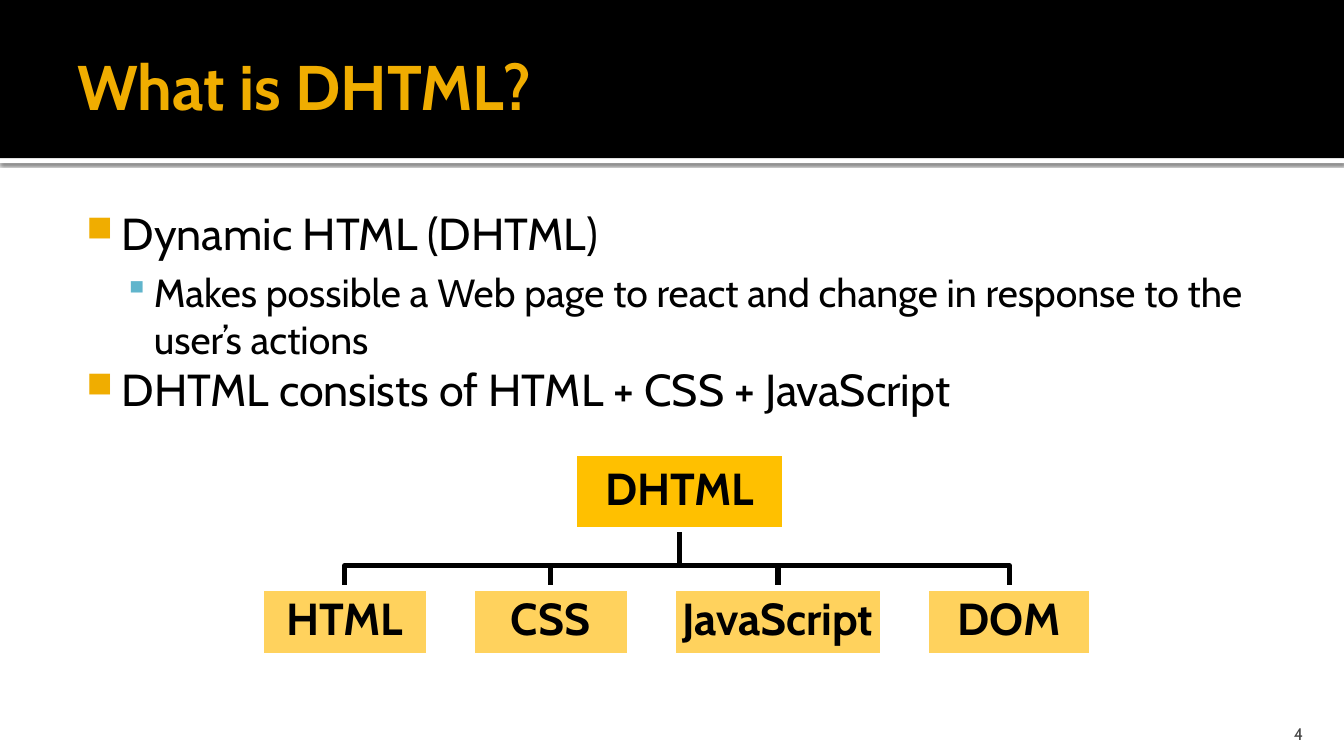
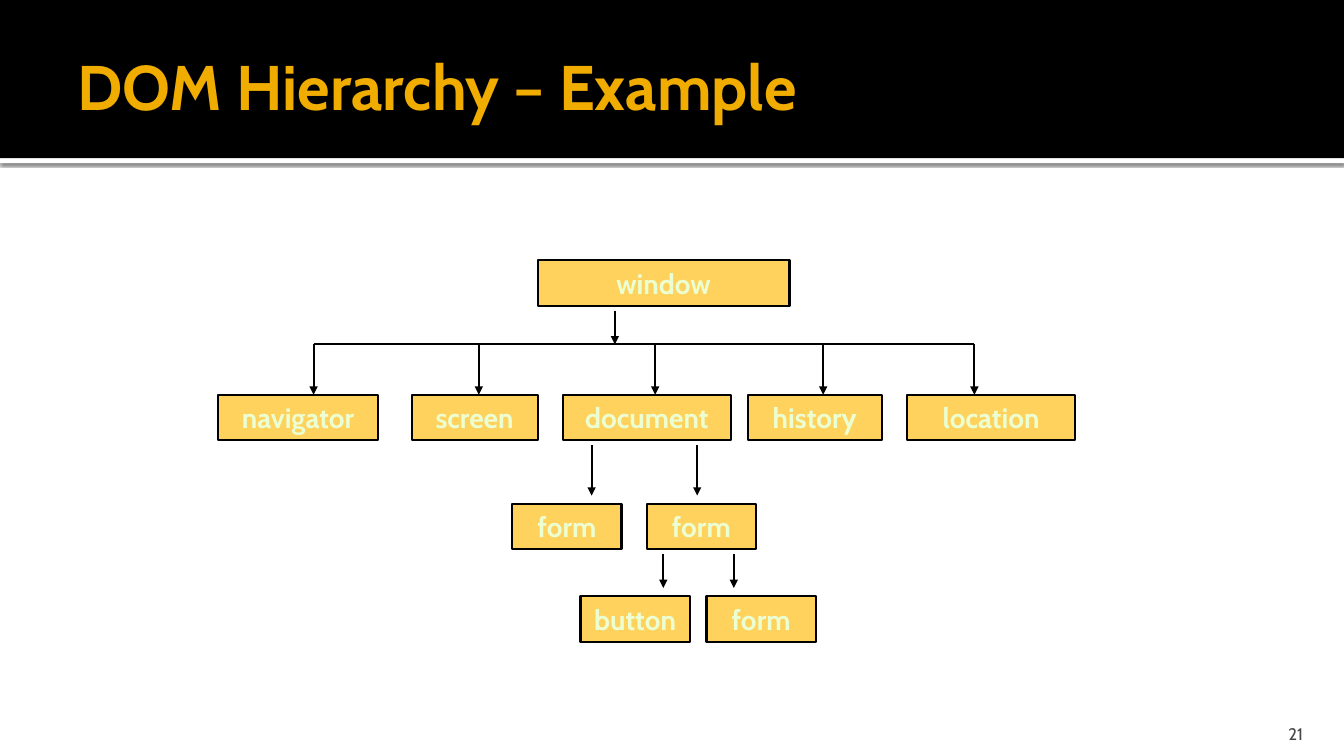
"""Build two slides that introduce DHTML and the DOM hierarchy."""
from lxml.etree import SubElement
from pptx import Presentation
from pptx.dml.color import RGBColor
from pptx.enum.shapes import MSO_CONNECTOR as Link, MSO_SHAPE as Preset
from pptx.enum.text import MSO_ANCHOR as Anchor, PP_ALIGN as Align
from pptx.oxml.ns import qn
from pptx.util import Pt

COLORS = {
    "black": "000000",
    "white": "FFFFFF",
    "title": "F0AD00",
    "number": "454545",
    "root": "FFC000",
    "node": "FFD25D",
    "node_text": "EBFFD2",
    "sub_bullet": "60B5CC",
}
BULLETS = [
    {"margin": 34.6, "hang": 25.2, "char": "■", "color": "title", "percent": 80, "size": 32, "before": 0},
    {"margin": 57.6, "hang": 21.6, "char": "▪", "color": "sub_bullet", "percent": 90, "size": 28, "before": 6},
]


def apply(target, values):
    for name, value in values.items():
        setattr(target, name, value)


def child(parent, tag, **attributes):
    return SubElement(parent, qn(tag), {key: str(value) for key, value in attributes.items()})


class Deck:
    font = "Cabin"
    width, height = 960, 540
    band_height = 113

    def __init__(self):
        self.deck = Presentation()
        apply(self.deck, {"slide_width": Pt(self.width), "slide_height": Pt(self.height)})
        self.page = None

    def color(self, name):
        return RGBColor.from_string(COLORS[name])

    def add_page(self, title, number):
        self.page = self.deck.slides.add_slide(self.deck.slide_layouts[6])
        rule = self.rectangle(0, self.band_height, self.width, 3.6, "white")
        effects = rule.element.spPr.find(qn("a:effectLst"))
        shadow = child(effects, "a:outerShdw", blurRad=Pt(2.5), dist=Pt(0.8), dir=5400000, rotWithShape=0)
        child(child(shadow, "a:srgbClr", val=COLORS["black"]), "a:alpha", val=60000)
        self.rectangle(0, 0, self.width, self.band_height, "black")
        frame = self.text_box(48, 12, 660, 98.6, (7.2, 3.6, 3.6, 3.6), Anchor.MIDDLE)
        self.add_text(frame.paragraphs[0], title, 45, "title", bold=True)
        frame = self.text_box(861, 510, 77, 21.6, (7.2, 3.6, 7.2, 0), Anchor.BOTTOM)
        self.add_text(frame.paragraphs[0], number, 12, "number", alignment=Align.RIGHT)

    def rectangle(self, left, top, width, height, fill, line=None, weight=1.5):
        box = self.page.shapes.add_shape(Preset.RECTANGLE, Pt(left), Pt(top), Pt(width), Pt(height))
        box.shadow.inherit = False
        box.fill.solid()
        box.fill.fore_color.rgb = self.color(fill)
        if line:
            self.outline(box, line, weight)
        else:
            box.line.fill.background()
        return box

    def outline(self, item, color, weight):
        item.line.color.rgb = self.color(color)
        item.line.width = Pt(weight)

    def set_frame(self, frame, insets, anchor):
        sides = ("margin_left", "margin_top", "margin_right", "margin_bottom")
        apply(frame, dict(zip(sides, map(Pt, insets))))
        apply(frame, {"word_wrap": True, "vertical_anchor": anchor})
        return frame

    def text_box(self, left, top, width, height, insets, anchor):
        box = self.page.shapes.add_textbox(Pt(left), Pt(top), Pt(width), Pt(height))
        return self.set_frame(box.text_frame, insets, anchor)

    def add_text(self, para, text, size, color, bold=False, **layout):
        apply(para, layout)
        span = para.add_run()
        span.text = text
        apply(span.font, {"name": self.font, "size": Pt(size), "bold": bold})
        span.font.color.rgb = self.color(color)

    def bullets(self, items):
        frame = self.text_box(48, 139.7, 864, 364, (4.3, 7.2, 7.2, 3.6), Anchor.TOP)
        for index, (level, text) in enumerate(items):
            style = BULLETS[level]
            para = frame.add_paragraph() if index else frame.paragraphs[0]
            self.add_text(para, text, style["size"], "black", level=level, space_before=Pt(style["before"]))
            settings = para._p.get_or_add_pPr()
            settings.set("marL", str(Pt(style["margin"])))
            settings.set("indent", str(-Pt(style["hang"])))
            child(child(settings, "a:buClr"), "a:srgbClr", val=COLORS[style["color"]])
            child(settings, "a:buSzPct", val=style["percent"] * 1000)
            child(settings, "a:buChar", char=style["char"])

    def chart_box(self, text, left, top, width, height, fill):
        box = self.rectangle(left, top, width, height, fill, "white", 3.78)
        frame = self.set_frame(box.text_frame, (1.4,) * 4, Anchor.MIDDLE)
        self.add_text(frame.paragraphs[0], text, 32, "black", True, alignment=Align.CENTER, line_spacing=0.85)

    def object_box(self, text, left, top, width):
        box = self.rectangle(left, top, width, 32.4, "node", "black")
        frame = self.set_frame(box.text_frame, (7.2, 3.6, 7.2, 3.6), Anchor.MIDDLE)
        self.add_text(frame.paragraphs[0], text, 20, "node_text", True, alignment=Align.CENTER)

    def elbow(self, start_x, start_y, middle_y, end_x, end_y):
        builder = self.page.shapes.build_freeform(Pt(start_x), Pt(start_y))
        corners = [(start_x, middle_y), (end_x, middle_y), (end_x, end_y)]
        builder.add_line_segments([(Pt(x), Pt(y)) for x, y in corners], close=False)
        branch = builder.convert_to_shape()
        branch.shadow.inherit = False
        branch.fill.background()
        self.outline(branch, "black", 3.78)

    def line(self, start_x, start_y, end_x, end_y, arrow=False):
        link = self.page.shapes.add_connector(Link.STRAIGHT, Pt(start_x), Pt(start_y), Pt(end_x), Pt(end_y))
        self.outline(link, "black", 1.5)
        properties = link.element.spPr
        if arrow:
            child(properties.find(qn("a:ln")), "a:tailEnd", type="triangle")
        child(properties, "a:effectLst")


def build_definition(deck):
    deck.add_page("What is DHTML?", "4")
    deck.bullets([
        (0, "Dynamic HTML (DHTML)"),
        (1, "Makes possible a Web page to react and change in response to the user’s actions"),
        (0, "DHTML consists of HTML + CSS + JavaScript"),
    ])
    root_left, root_top, root_width, root_height = 410.4, 324, 150, 54
    part_top, part_height, gap = 420, 48, 31.2
    parts = []
    left = 186.5
    for name, width in [("HTML", 119.5), ("CSS", 112.3), ("JavaScript", 150), ("DOM", 118)]:
        parts.append((name, left, width))
        left += width + gap
    for name, left, width in parts:
        deck.elbow(root_left + root_width / 2, root_top + root_height, 404, left + width / 2, part_top)
    deck.chart_box("DHTML", root_left, root_top, root_width, root_height, "root")
    for name, left, width in parts:
        deck.chart_box(name, left, part_top, width, part_height, "node")


def build_hierarchy(deck):
    deck.add_page("DOM Hierarchy – Example", "21")
    levels = {
        186: [("window", 384, 180)],
        282: [("navigator", 156, 114), ("screen", 294, 90), ("document", 402, 120),
              ("history", 534, 96), ("location", 648, 120)],
        360: [("form", 366, 78), ("form", 462, 78)],
        426: [("button", 414.7, 78), ("form", 504.7, 78)],
    }
    for top, boxes in levels.items():
        for name, left, width in boxes:
            deck.object_box(name, left, top, width)
    bus_y = 246
    drops = [224, 342, 468, 588, 696]
    deck.line(drops[0], bus_y, drops[-1], bus_y)
    arrows = [
        (222, bus_y, [439.2]),
        (bus_y, 282, drops),
        (318, 354, [422.6, 498]),
        (396, 420, [473.8, 524.2]),
    ]
    for start_y, end_y, positions in arrows:
        for x in positions:
            deck.line(x, start_y, x, end_y, arrow=True)


def main():
    deck = Deck()
    build_definition(deck)
    build_hierarchy(deck)
    deck.deck.save("out.pptx")


if __name__ == "__main__":
    main()
